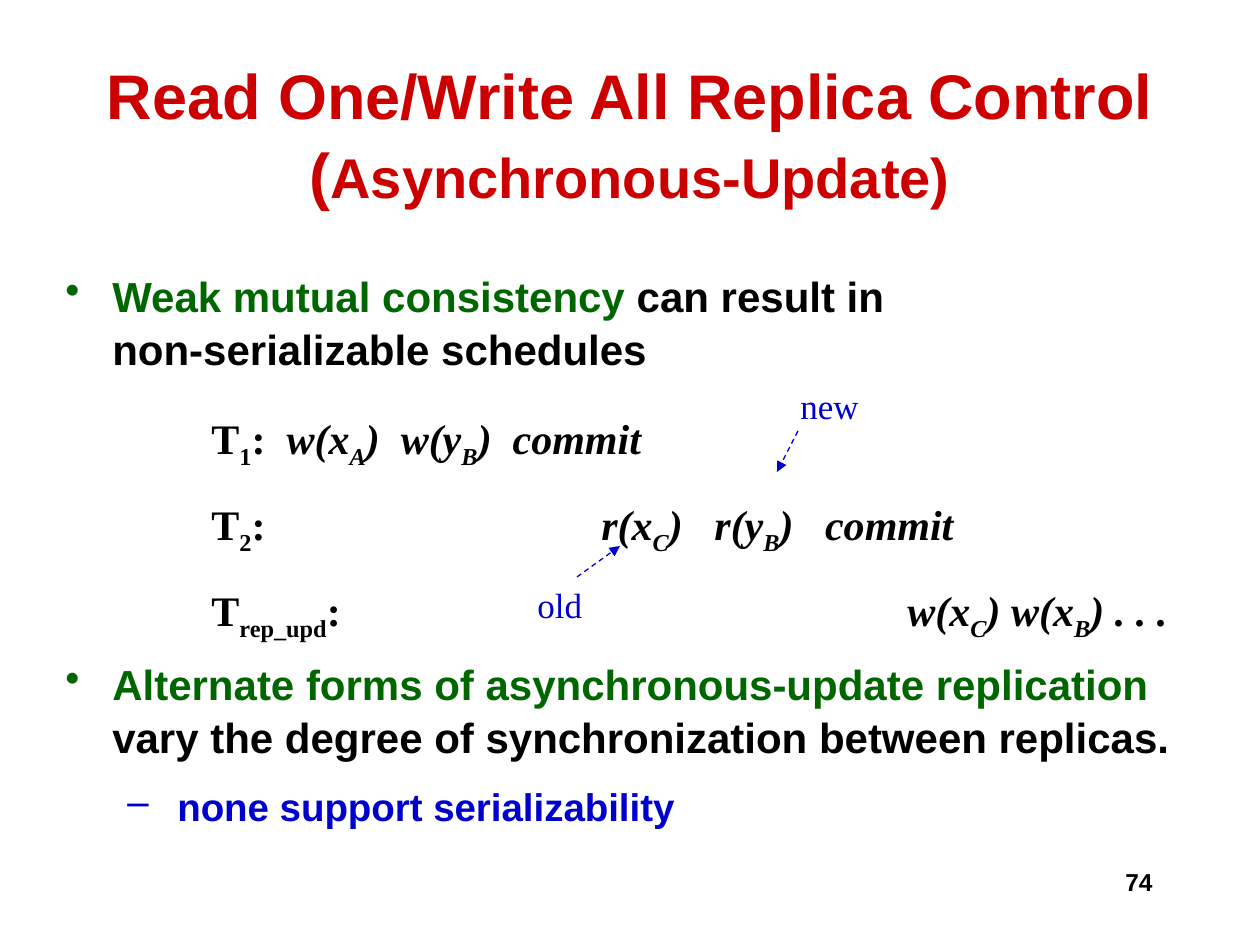
"""Build the slide on asynchronous-update replica control."""
from lxml import etree
from pptx import Presentation
from pptx.dml.color import RGBColor
from pptx.enum.dml import MSO_LINE
from pptx.enum.shapes import MSO_CONNECTOR
from pptx.enum.text import MSO_ANCHOR, PP_ALIGN
from pptx.oxml.ns import qn
from pptx.util import Pt

PX = 914400 / 126
DASH, STRAIGHT = MSO_LINE.DASH, MSO_CONNECTOR.STRAIGHT
MIDDLE, CENTER, RIGHT = MSO_ANCHOR.MIDDLE, PP_ALIGN.CENTER, PP_ALIGN.RIGHT
SANS, SERIF = "Arial", "Times New Roman"
RED, GREEN, BLUE, BLACK = "CC0000", "006600", "0000CC", "000000"


def px(*values):
    return [round(v * PX) for v in values]


def add_run(p, text, size, color, font=SANS, bold=True, italic=False, sub=False):
    r = p.add_run()
    r.text = text
    f = r.font
    f.name, f.size, f.bold, f.italic = font, Pt(size), bold, italic
    f.color.rgb = RGBColor.from_string(color)
    if sub:
        r._r.get_or_add_rPr().set("baseline", "-25000")


prs = Presentation()
prs.slide_width, prs.slide_height = px(1260, 945)
s = prs.slides.add_slide(prs.slide_layouts[5])

title = s.shapes.title
title.left, title.top, title.width, title.height = px(0, 53, 1260, 158)
tf = title.text_frame
tf.vertical_anchor = MIDDLE
p = tf.paragraphs[0]
p.alignment = CENTER
p.line_spacing = 1.05
add_run(p, "Read One/Write All Replica Control", 36, RED)
p.add_line_break()
add_run(p, "(", 36, RED)
add_run(p, "Asynchronous-Update)", 32, RED)

bullets = [
    ("•", 47, 47, 0, 24, [("Weak mutual consistency ", GREEN),
                          ("can result in\vnon-serializable schedules", BLACK)]),
    ("•", 47, 47, 161, 24, [("Alternate forms of asynchronous-update replication ", GREEN),
                            ("vary the degree of synchronization between replicas.", BLACK)]),
    ("–", 112, 50, 11, 22, [("none support serializability", BLUE)]),
]
tf = s.shapes.add_textbox(*px(53, 262, 1144, 683)).text_frame
tf.word_wrap = True
for i, (mark, margin, hang, before, size, runs) in enumerate(bullets):
    p = tf.add_paragraph() if i else tf.paragraphs[0]
    p.space_before = Pt(before)
    p.line_spacing = 1.05
    pPr = p._p.get_or_add_pPr()
    pPr.set("marL", str(px(margin)[0]))
    pPr.set("indent", str(px(-hang)[0]))
    etree.SubElement(pPr, qn("a:buChar")).set("char", mark)
    for text, color in runs:
        for j, line in enumerate(text.split("\v")):
            if j:
                p.add_line_break()
            add_run(p, line, size, color)

schedules = [
    ("1", ":  ", None, ["w(x", "A", ")  w(y", "B", ")  commit"]),
    ("2", ":\t", 390, ["r(x", "C", ")   r(y", "B", ")   commit"]),
    ("rep_upd", ":\t", 696, ["w(x", "C", ") w(x", "B", ") . . ."]),
]
tf = s.shapes.add_textbox(*px(199, 378, 1007, 239)).text_frame
tf.word_wrap = False
for i, (name, gap, tab, steps) in enumerate(schedules):
    p = tf.add_paragraph() if i else tf.paragraphs[0]
    p.line_spacing = 1.5
    if tab:
        tabs = etree.SubElement(p._p.get_or_add_pPr(), qn("a:tabLst"))
        etree.SubElement(tabs, qn("a:tab"), pos=str(px(tab)[0]), algn="l")
    add_run(p, "T", 24, BLACK, SERIF)
    add_run(p, name, 24, BLACK, SERIF, sub=True)
    add_run(p, gap, 24, BLACK, SERIF)
    for j, step in enumerate(steps):
        add_run(p, step, 24, BLACK, SERIF, italic=True, sub=j % 2 == 1)

notes = [
    ("new", (788, 378, 84, 54), (798, 431, 777, 472)),
    ("old", (525, 577, 71, 54), (577, 577, 620, 546)),
]
for text, box, ends in notes:
    tf = s.shapes.add_textbox(*px(*box)).text_frame
    tf.word_wrap = False
    add_run(tf.paragraphs[0], text, 20, BLUE, SERIF, bold=False)
    arrow = s.shapes.add_connector(STRAIGHT, *px(*ends))
    arrow.line.color.rgb = RGBColor.from_string(BLUE)
    arrow.line.width = Pt(0.75)
    arrow.line.dash_style = DASH
    etree.SubElement(arrow.line._get_or_add_ln(), qn("a:tailEnd"), type="triangle")
    etree.SubElement(arrow._element.spPr, qn("a:effectLst"))

tf = s.shapes.add_textbox(*px(903, 861, 262, 63)).text_frame
tf.word_wrap = True
p = tf.paragraphs[0]
p.alignment = RIGHT
add_run(p, "74", 14, BLACK)

prs.save("out.pptx")
